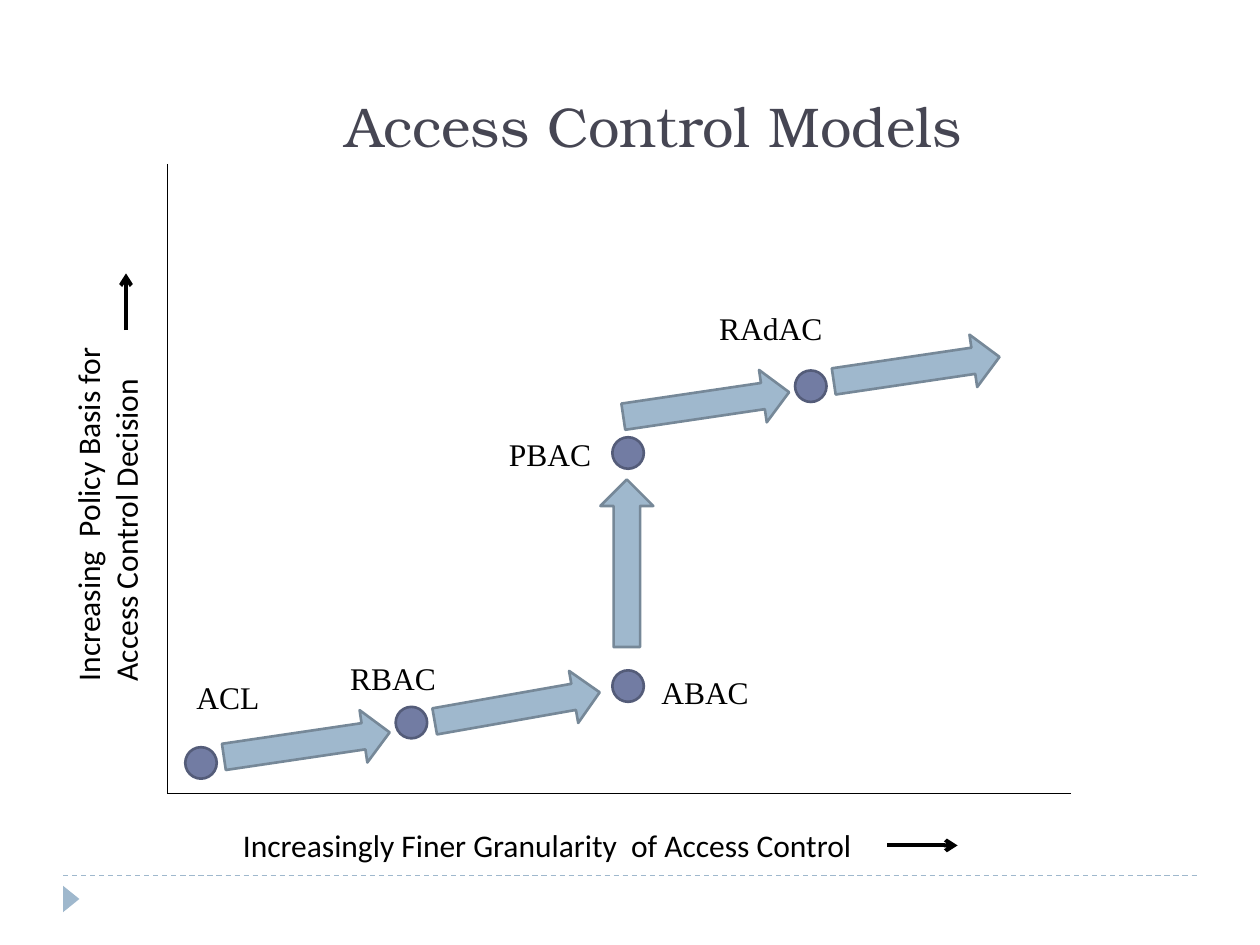
from lxml import etree
from pptx import Presentation
from pptx.dml.color import RGBColor
from pptx.enum.dml import MSO_LINE
from pptx.enum.shapes import MSO_CONNECTOR, MSO_SHAPE
from pptx.enum.text import MSO_ANCHOR, MSO_AUTO_SIZE, PP_ALIGN
from pptx.oxml.ns import qn
from pptx.util import Inches, Pt

STRAIGHT = MSO_CONNECTOR.STRAIGHT
ARROW, CIRCLE, TRIANGLE = MSO_SHAPE.RIGHT_ARROW, MSO_SHAPE.OVAL, MSO_SHAPE.ISOSCELES_TRIANGLE
DASH = MSO_LINE.DASH
LEFT, CENTER = PP_ALIGN.LEFT, PP_ALIGN.CENTER
TOP, BOTTOM = MSO_ANCHOR.TOP, MSO_ANCHOR.BOTTOM
FIT_SHAPE, NO_FIT = MSO_AUTO_SIZE.SHAPE_TO_FIT_TEXT, MSO_AUTO_SIZE.NONE

COLUMNS, ROWS = 100, 75


def color(hex_string):
    return RGBColor.from_string(hex_string)


def write_text(frame, text, font="Calibri", points=18, ink="000000", align=LEFT):
    paragraph = frame.paragraphs[0]
    paragraph.alignment = align
    run = paragraph.add_run()
    run.text = text
    run.font.name = font
    run.font.size = Pt(points)
    run.font.color.rgb = color(ink)


class Diagram:
    black = "000000"
    pale, pale_edge = "9FB8CD", "768898"
    deep, deep_edge = "727CA3", "545C79"
    arrow_size = (13.3, 4.2)
    dot_size = (2.5, 2.5)

    def __init__(self, presentation):
        self.slide = presentation.slides.add_slide(presentation.slide_layouts[6])
        self.column = presentation.slide_width / COLUMNS
        self.row = presentation.slide_height / ROWS

    def place(self, column, row):
        return round(column * self.column), round(row * self.row)

    def line(self, start, end, width=0.75, ink=black, dash=None, arrow=False):
        connector = self.slide.shapes.add_connector(STRAIGHT, *self.place(*start), *self.place(*end))
        connector.line.width = Pt(width)
        connector.line.color.rgb = color(ink)
        if dash:
            connector.line.dash_style = dash
        properties = connector._element.spPr
        if arrow:
            etree.SubElement(properties.find(qn("a:ln")), qn("a:tailEnd"), type="arrow")
        etree.SubElement(properties, qn("a:effectLst"))

    def shape(self, kind, position, size, fill, edge=None, rotation=0):
        shape = self.slide.shapes.add_shape(kind, *self.place(*position), *self.place(*size))
        shape.rotation = rotation
        shape.shadow.inherit = False
        shape.fill.solid()
        shape.fill.fore_color.rgb = color(fill)
        if edge:
            shape.line.color.rgb = color(edge)
            shape.line.width = Pt(1.5)
        else:
            shape.line.fill.background()

    def arrow(self, position, rotation):
        self.shape(ARROW, position, self.arrow_size, self.pale, self.pale_edge, rotation)

    def dot(self, position):
        self.shape(CIRCLE, position, self.dot_size, self.deep, self.deep_edge)

    def text(self, text, position, size, rotation=0, anchor=TOP, fit=FIT_SHAPE, **text_format):
        box = self.slide.shapes.add_textbox(*self.place(*position), *self.place(*size))
        box.rotation = rotation
        frame = box.text_frame
        frame.word_wrap = True
        frame.auto_size = fit
        frame.vertical_anchor = anchor
        write_text(frame, text, **text_format)


def main():
    presentation = Presentation()
    presentation.slide_width = Inches(10)
    presentation.slide_height = Inches(7.5)
    diagram = Diagram(presentation)

    diagram.line((5, 69.5), (95, 69.5), ink=diagram.pale, dash=DASH)
    diagram.shape(TRIANGLE, (4.6, 70.7), (2.1, 1.3), diagram.pale, rotation=90)
    diagram.text("Access Control Models", (6.9, 2.3), (90, 10.8), anchor=BOTTOM, fit=NO_FIT,
                 font="TeX Gyre Bonum", points=32, ink="464653", align=CENTER)

    origin = (13.3, 63)
    for axis_end in ((13.3, 13), (85, 63)):
        diagram.line(axis_end, origin)

    steps = [((17.7, 57), 351.6), ((34.4, 54), 350), ((43.1, 42.6), 270),
             ((49.4, 30), 351.6), ((66.1, 27.2), 351.6)]
    for position, rotation in steps:
        diagram.arrow(position, rotation)

    models = [
        ("ACL", (14.7, 59.3), (14.6, 53.3), 7.5),
        ("RBAC", (31.4, 56.1), (26.8, 51.8), 9.1),
        ("ABAC", (48.6, 53.2), (51.5, 52.9), 9.1),
        ("PBAC", (48.6, 34.7), (39.4, 34), 9.1),
        ("RAdAC", (63.1, 29.4), (56.1, 24), 14.3),
    ]
    for name, dot_position, label_position, label_width in models:
        diagram.dot(dot_position)
        diagram.text(name, label_position, (label_width, 4), font="Times New Roman")

    diagram.text("Increasing  Policy Basis for Access Control Decision",
                 (-9.3, 33.7), (35.6, 7.1), rotation=270)
    diagram.line((10, 26.2), (10, 21.7), width=2.25, arrow=True)
    diagram.text("Increasingly Finer Granularity  of Access Control", (18.3, 65.1), (63.3, 4))
    diagram.line((70.4, 67.1), (76, 67.1), width=2.25, arrow=True)

    presentation.save("out.pptx")


if __name__ == "__main__":
    main()
